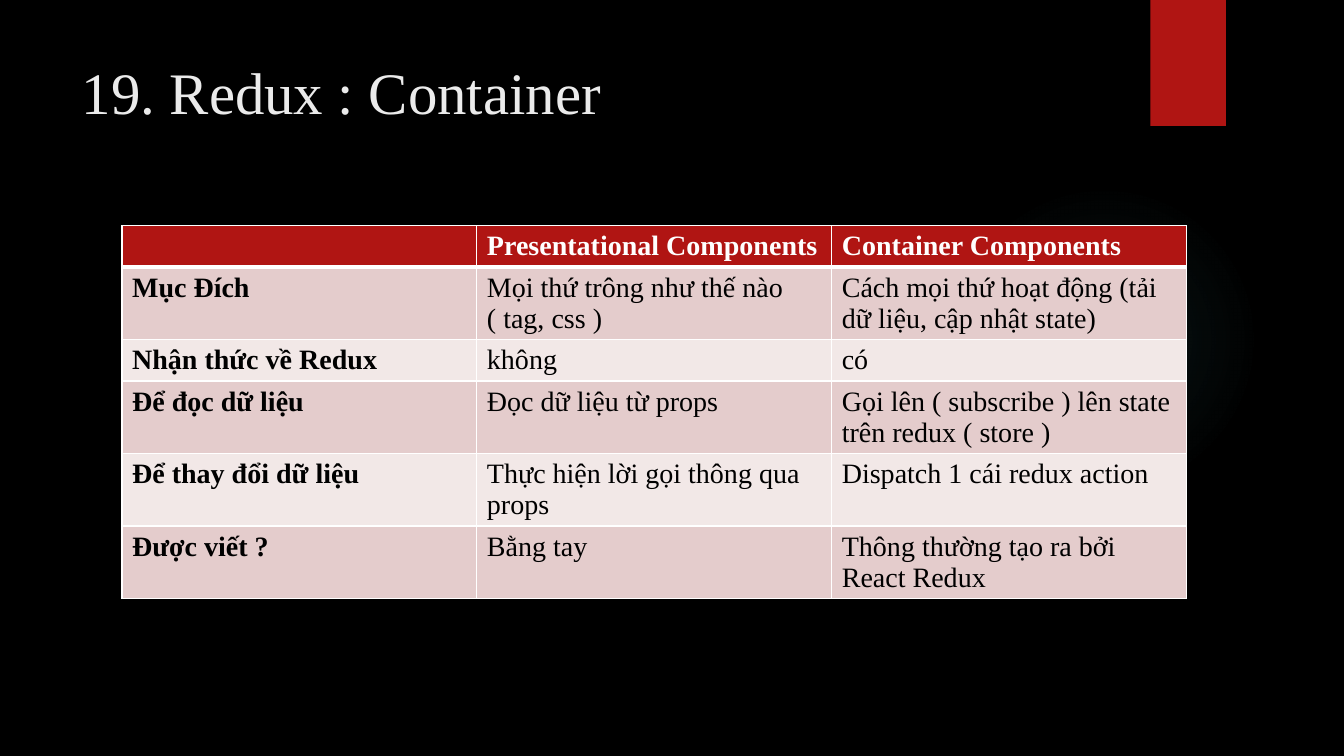
from lxml import etree
from pptx import Presentation
from pptx.dml.color import RGBColor
from pptx.enum import shapes, text
from pptx.oxml import ns
from pptx.util import Inches, Pt

TITLE = "19. Redux : Container"
HEADER = ("", "Presentational Components", "Container Components")
COMPARISON = [
    ("Mục Đích", "Mọi thứ trông như thế nào ( tag, css )",
     "Cách mọi thứ hoạt động (tải dữ liệu, cập nhật state)"),
    ("Nhận thức về Redux", "không", "có"),
    ("Để đọc dữ liệu", "Đọc dữ liệu từ props",
     "Gọi lên ( subscribe ) lên state trên redux ( store )"),
    ("Để thay đổi dữ liệu", "Thực hiện lời gọi thông qua props",
     "Dispatch 1 cái redux action"),
    ("Được viết ?", "Bằng tay", "Thông thường tạo ra bởi React Redux"),
]
ROW_HEIGHTS = (0.41, 0.72, 0.41, 0.72, 0.72, 0.72)
COLUMN_WIDTH = 3.52
GLOW_STOPS = ((0, 7), (36, 6), (69, 0))

FONT = "Times New Roman"
BLACK = RGBColor(0x00, 0x00, 0x00)
WHITE = RGBColor(0xFF, 0xFF, 0xFF)
OFF_WHITE = RGBColor(0xEB, 0xEB, 0xEB)
RED = RGBColor(0xB0, 0x15, 0x13)
BANDS = (RGBColor(0xE4, 0xCC, 0xCC), RGBColor(0xF2, 0xE8, 0xE7))
TEAL = RGBColor(0x50, 0xB9, 0xC1)


def sub(parent, tag, **attributes):
    """Append a DrawingML element to a parent."""
    return etree.SubElement(parent, ns.qn(tag), attributes)


def add_decoration(slide, kind, left, top, width, height):
    """Add a red shape without outline or shadow."""
    shape = slide.shapes.add_shape(kind, Inches(left), Inches(top), Inches(width), Inches(height))
    shape.shadow.inherit = False
    shape.fill.solid()
    shape.fill.fore_color.rgb = RED
    shape.line.fill.background()
    return shape


def make_glow(shape):
    """Replace the fill with a faint radial gradient."""
    solid = shape.fill._xPr.find(ns.qn("a:solidFill"))
    gradient = etree.Element(ns.qn("a:gradFill"), rotWithShape="1")
    stops = sub(gradient, "a:gsLst")
    for position, opacity in GLOW_STOPS:
        stop = sub(stops, "a:gs", pos=str(position * 1000))
        color = sub(stop, "a:srgbClr", val=str(TEAL))
        sub(color, "a:alpha", val=str(opacity * 1000))
    center = sub(gradient, "a:path", path="circle")
    sub(center, "a:fillToRect", l="50000", t="50000", r="50000", b="50000")
    solid.getparent().replace(solid, gradient)


def add_text(frame, words, size, color, bold=False):
    """Write one run in the slide's font."""
    run = frame.paragraphs[0].add_run()
    run.text = words
    run.font.name = FONT
    run.font.size = Pt(size)
    run.font.bold = bold
    run.font.color.rgb = color


def add_borders(cell, top, bottom):
    """Draw white borders around a cell."""
    properties = cell._tc.get_or_add_tcPr()
    for side, points in (("L", 1), ("R", 1), ("T", top), ("B", bottom)):
        line = sub(properties, f"a:ln{side}", w=str(Pt(points)))
        sub(sub(line, "a:solidFill"), "a:srgbClr", val=str(WHITE))


def add_comparison(slide):
    """Build the table of both component kinds."""
    rows = [HEADER, *COMPARISON]
    table = slide.shapes.add_table(
        len(rows), len(HEADER), Inches(1.21), Inches(2.24),
        Inches(COLUMN_WIDTH * len(HEADER)), Inches(sum(ROW_HEIGHTS))).table
    for column in table.columns:
        column.width = Inches(COLUMN_WIDTH)
    for r, (row, height) in enumerate(zip(rows, ROW_HEIGHTS)):
        table.rows[r].height = Inches(height)
        is_header = r == 0
        for c, words in enumerate(row):
            cell = table.cell(r, c)
            add_borders(cell, 3 if r == 1 else 1, 3 if is_header else 1)
            cell.fill.solid()
            cell.fill.fore_color.rgb = RED if is_header else BANDS[(r - 1) % 2]
            if words:
                add_text(cell.text_frame, words, 20, WHITE if is_header else BLACK,
                         is_header or c == 0)


def main():
    """Build and save the slide."""
    deck = Presentation()
    deck.slide_width, deck.slide_height = Inches(13.33), Inches(7.5)
    slide = deck.slides.add_slide(deck.slide_layouts[5])
    slide.background.fill.solid()
    slide.background.fill.fore_color.rgb = BLACK

    make_glow(add_decoration(slide, shapes.MSO_SHAPE.OVAL, 9.41, 1.83, 3.08, 3.08))
    add_decoration(slide, shapes.MSO_SHAPE.RECTANGLE, 11.41, 0, 0.75, 1.25)

    title = slide.shapes.title
    title.left, title.top = Inches(0.71), Inches(0.5)
    title.width, title.height = Inches(10.29), Inches(1.53)
    title.text_frame.vertical_anchor = text.MSO_ANCHOR.TOP
    title.text_frame.auto_size = text.MSO_AUTO_SIZE.NONE
    title.text_frame.paragraphs[0].alignment = text.PP_ALIGN.LEFT
    add_text(title.text_frame, TITLE, 42, OFF_WHITE)

    add_comparison(slide)
    deck.save("out.pptx")


if __name__ == "__main__":
    main()
